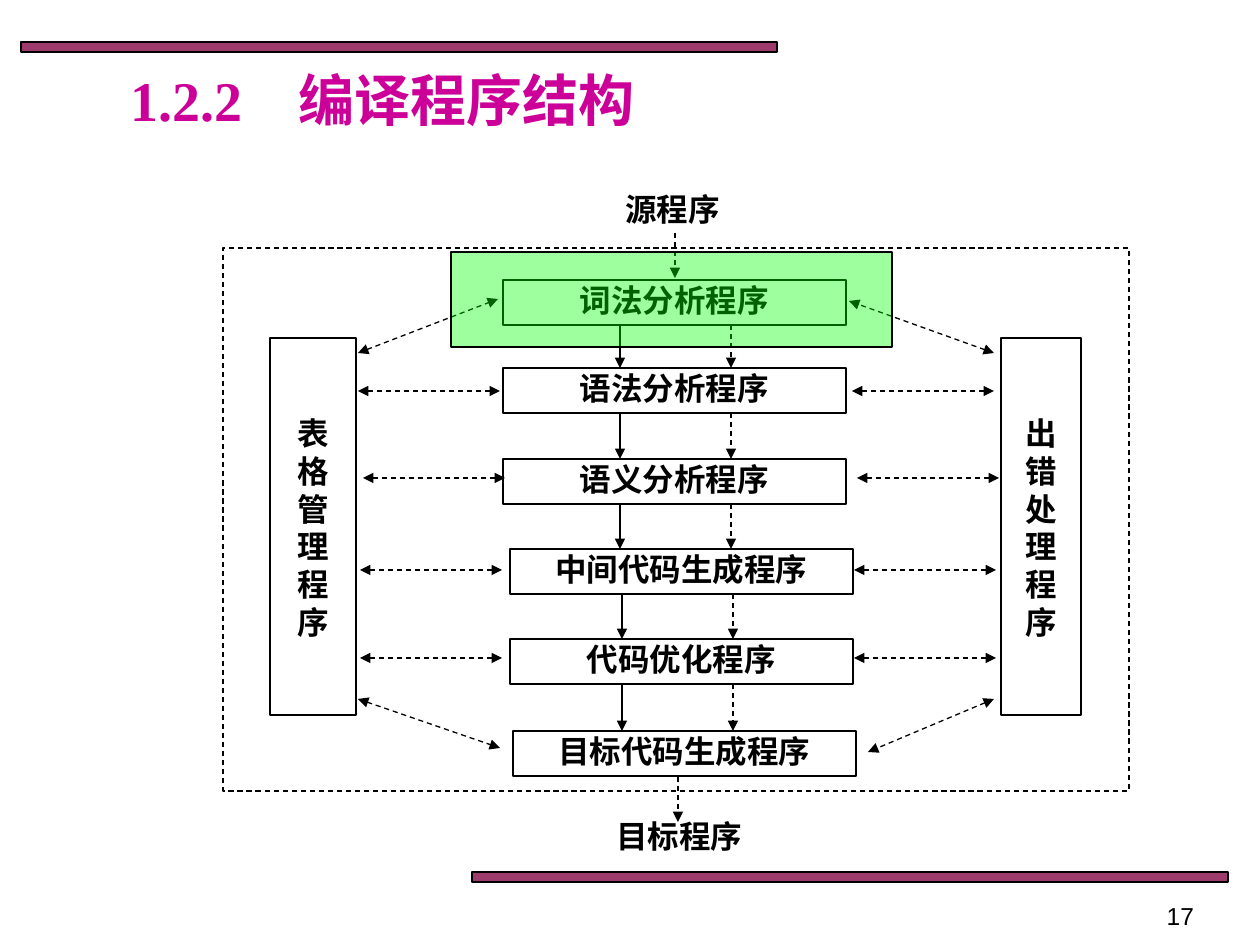
from dataclasses import dataclass

from lxml import etree
from pptx import Presentation
from pptx.dml.color import RGBColor
from pptx.enum import dml, shapes, text
from pptx.oxml.ns import qn
from pptx.util import Emu, Pt

EMU_PER_PX = 914400 / 126


@dataclass(frozen=True)
class Theme:
    title: str = "CC0099"
    ink: str = "000000"
    paper: str = "FFFFFF"
    bar: str = "993366"
    highlight: str = "00FF00"
    serif: str = "Times New Roman"
    sans: str = "Arial"
    title_size: int = 32
    body_size: int = 18
    number_size: int = 14
    line_width: float = 0.75


THEME = Theme()
BOX_W, BOX_H = 343, 45

# Compiler phases: name, left, top
PHASES = [
    ("词法分析程序", 503, 280),
    ("语法分析程序", 503, 368),
    ("语义分析程序", 503, 459),
    ("中间代码生成程序", 510, 549),
    ("代码优化程序", 510, 639),
    ("目标代码生成程序", 513, 731),
]

# Links between the phases and the side modules: start x, y, end x, y
LEVEL_LINKS = [(358, 391), (363, 478), (360, 570), (360, 658)]
LEVEL_LENGTH, RIGHT_SHIFT = 142, 494
SLANTED_LINKS = [
    (358, 353, 498, 299), (358, 699, 500, 748),
    (994, 353, 849, 301), (994, 699, 868, 752),
]


def px(n):
    return Emu(round(n * EMU_PER_PX))


def rgb(value):
    return RGBColor.from_string(value)


def write(shape, content, size=THEME.body_size, font=THEME.serif,
          color=THEME.ink, bold=True, align=text.PP_ALIGN.CENTER,
          anchor=text.MSO_ANCHOR.TOP, inset_x=0, inset_top=1):
    tf = shape.text_frame
    tf.word_wrap = True
    tf.auto_size = text.MSO_AUTO_SIZE.NONE
    tf.vertical_anchor = anchor
    tf.margin_left = tf.margin_right = px(inset_x)
    tf.margin_top, tf.margin_bottom = px(inset_top), 0
    p = tf.paragraphs[0]
    p.alignment = align
    r = p.add_run()
    r.text = content
    r.font.size, r.font.name, r.font.bold = Pt(size), font, bold
    r.font.color.rgb = rgb(color)


def style_line(line, dashed=False):
    line.color.rgb = rgb(THEME.ink)
    line.width = Pt(THEME.line_width)
    if dashed:
        line.dash_style = dml.MSO_LINE.DASH


def add_rect(slide, x, y, w, h, fill=None, alpha=None, dashed=False):
    sp = slide.shapes.add_shape(shapes.MSO_SHAPE.RECTANGLE,
                                px(x), px(y), px(w), px(h))
    sp.shadow.inherit = False
    style_line(sp.line, dashed)
    if fill is None:
        sp.fill.background()
    else:
        sp.fill.solid()
        sp.fill.fore_color.rgb = rgb(fill)
    if alpha is not None:
        color = sp.fill._xPr.find(qn("a:solidFill"))[0]
        etree.SubElement(color, qn("a:alpha"), val=str(alpha * 1000))
    return sp


def add_label(slide, content, x, y, w, h, **fmt):
    write(slide.shapes.add_textbox(px(x), px(y), px(w), px(h)), content, **fmt)


def add_arrow(slide, x1, y1, x2, y2, dashed=True, both=False):
    cxn = slide.shapes.add_connector(shapes.MSO_CONNECTOR.STRAIGHT,
                                     px(x1), px(y1), px(x2), px(y2))
    style_line(cxn.line, dashed)
    ln = cxn.line._get_or_add_ln()
    for end in ("a:headEnd", "a:tailEnd") if both else ("a:tailEnd",):
        etree.SubElement(ln, qn(end), type="triangle")
    etree.SubElement(cxn._element.spPr, qn("a:effectLst"))


def add_title(slide, content):
    title = slide.shapes.title
    title.left, title.top = px(117), px(73)
    title.width, title.height = px(597), px(53)
    write(title, content, size=THEME.title_size, color=THEME.title,
          align=text.PP_ALIGN.LEFT, anchor=text.MSO_ANCHOR.MIDDLE,
          inset_x=13, inset_top=0)


def add_modules(slide):
    for name, x, y in PHASES:
        write(add_rect(slide, x, y, BOX_W, BOX_H, THEME.paper), name)
    # Narrow side columns, one character to a line
    for name, x, w in (("表格管理程序", 270, 86), ("出错处理程序", 1001, 80)):
        write(add_rect(slide, x, 338, w, 377, THEME.paper), name,
              inset_x=20, inset_top=76)


def add_flow(slide):
    # Input and output
    add_label(slide, "源程序", 501, 189, BOX_W, BOX_H)
    add_label(slide, "目标程序", 508, 816, BOX_W, BOX_H)
    add_arrow(slide, 675, 233, 675, 278)
    add_arrow(slide, 678, 777, 678, 822)
    # Control (solid) and data (dashed) between neighbouring phases
    for i, ((_, _, y), (_, _, next_y)) in enumerate(zip(PHASES, PHASES[1:])):
        shift = 2 if i > 2 else 0
        for x, dashed in ((620, False), (731, True)):
            add_arrow(slide, x + shift, y + BOX_H, x + shift, next_y, dashed)


def add_links(slide):
    for x, y in LEVEL_LINKS:
        for start in (x, x + RIGHT_SHIFT):
            add_arrow(slide, start, y, start + LEVEL_LENGTH, y, both=True)
    for ends in SLANTED_LINKS:
        add_arrow(slide, *ends, both=True)


def main():
    prs = Presentation()
    prs.slide_width, prs.slide_height = px(1260), px(945)
    slide = prs.slides.add_slide(prs.slide_layouts[5])

    # Page frame
    for x, y in ((21, 42), (472, 872)):
        add_rect(slide, x, y, 756, 10, THEME.bar, alpha=96)
    add_label(slide, "17", 914, 892, 293, 34, size=THEME.number_size,
              font=THEME.sans, bold=False, align=text.PP_ALIGN.RIGHT,
              inset_x=13, inset_top=9)
    add_title(slide, "1.2.2　编译程序结构")

    # Compiler structure
    add_modules(slide)
    add_flow(slide)
    add_links(slide)
    add_rect(slide, 223, 248, 906, 543, dashed=True)

    # Highlight on the current phase
    add_rect(slide, 451, 252, 441, 95, THEME.highlight, alpha=38)
    prs.save("out.pptx")


if __name__ == "__main__":
    main()
